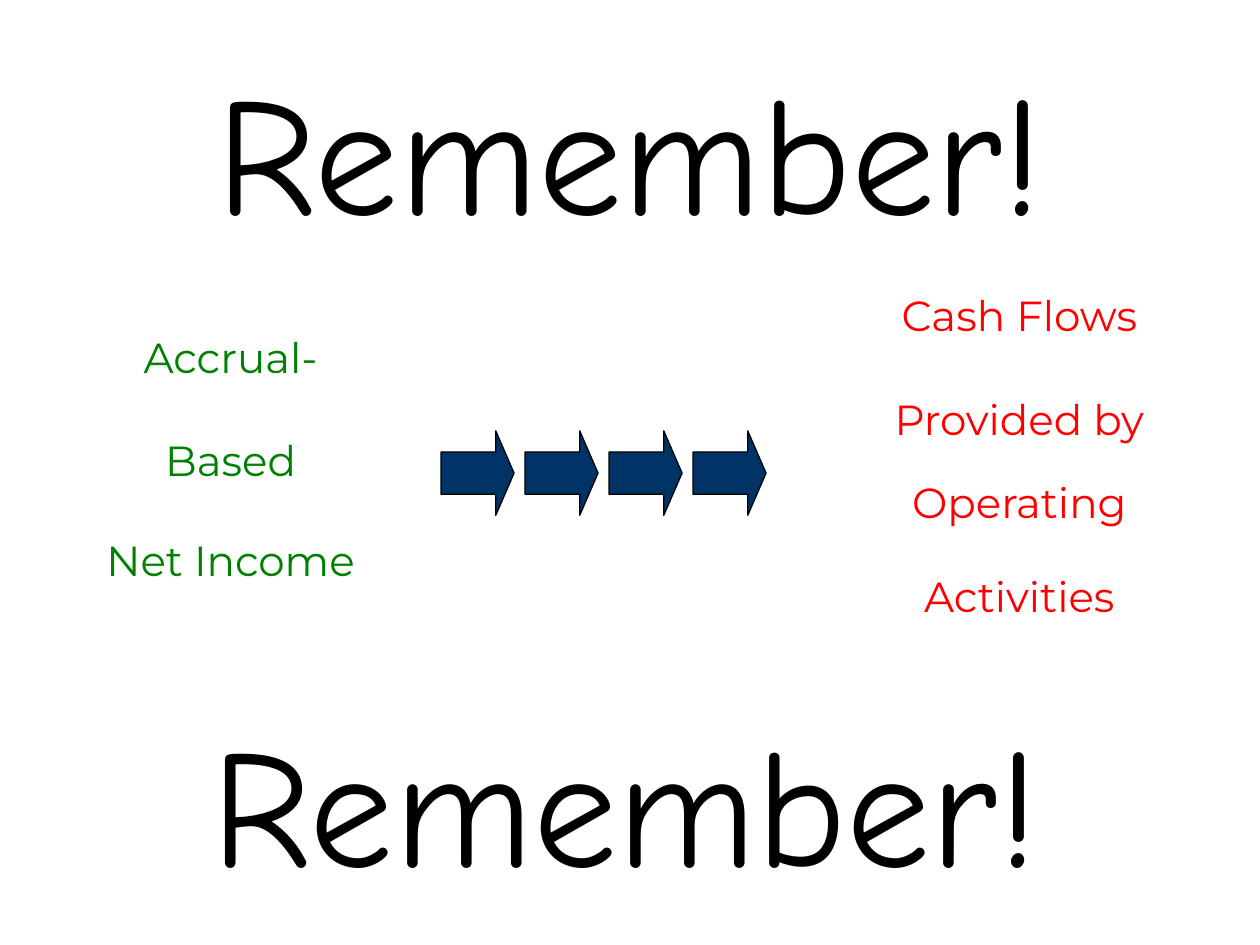
from pptx import Presentation
from pptx.dml.color import RGBColor
from pptx.enum.shapes import MSO_SHAPE
from pptx.enum.text import PP_ALIGN
from pptx.util import Inches, Pt

COLORS = {"green": "008000", "red": "FF0000", "navy": "003366", "black": "000000"}

# Each group: centre x, colour, then (text, top, width) per line
GROUPS = [
    (1.83, "green", [("Accrual-", 2.58, 2.1), ("Based", 3.4, 1.69),
                     ("Net Income", 4.19, 3.17)]),
    (8.09, "red", [("Cash Flows", 2.25, 3.12), ("Provided by", 3.07, 3.19),
                   ("Operating", 3.73, 2.69), ("Activities", 4.48, 2.59)]),
]
LINE_HEIGHT = 0.71

ARROW_COUNT = 4
ARROW_LEFT, ARROW_TOP, ARROW_PITCH = 3.5, 3.42, 2 / 3
ARROW_SIZE = (0.58, 0.67)

# text, left, top, width, height
TITLES = [("Remember!", 1.25, 0.33, 7.5, 1.7), ("Remember!", 1.42, 5.5, 7.08, 1.7)]


def rgb(name):
    return RGBColor.from_string(COLORS[name])


def add_text(shapes, text, box, font, size, color, wrap):
    tf = shapes.add_textbox(*map(Inches, box)).text_frame
    tf.word_wrap = wrap
    p = tf.paragraphs[0]
    p.text = text
    p.alignment = PP_ALIGN.CENTER
    p.font.name = font
    p.font.size = Pt(size)
    p.font.color.rgb = rgb(color)


prs = Presentation()
prs.slide_width, prs.slide_height = Inches(10), Inches(7.5)
s = prs.slides.add_slide(prs.slide_layouts[6])

for center, color, lines in GROUPS:
    group = s.shapes.add_group_shape()
    for text, top, width in lines:
        box = (center - width / 2, top, width, LINE_HEIGHT)
        add_text(group.shapes, text, box, "Montserrat", 24, color, wrap=False)

for i in range(ARROW_COUNT):
    box = (ARROW_LEFT + i * ARROW_PITCH, ARROW_TOP, *ARROW_SIZE)
    arrow = s.shapes.add_shape(MSO_SHAPE.RIGHT_ARROW, *map(Inches, box))
    arrow.adjustments[0] = 0.5
    arrow.adjustments[1] = 0.25
    arrow.shadow.inherit = False
    arrow.fill.solid()
    arrow.fill.fore_color.rgb = rgb("navy")
    arrow.line.color.rgb = rgb("black")
    arrow.line.width = Pt(0.75)

for text, *box in TITLES:
    add_text(s.shapes, text, box, "Comic Neue", 96, "black", wrap=True)

prs.save("out.pptx")
